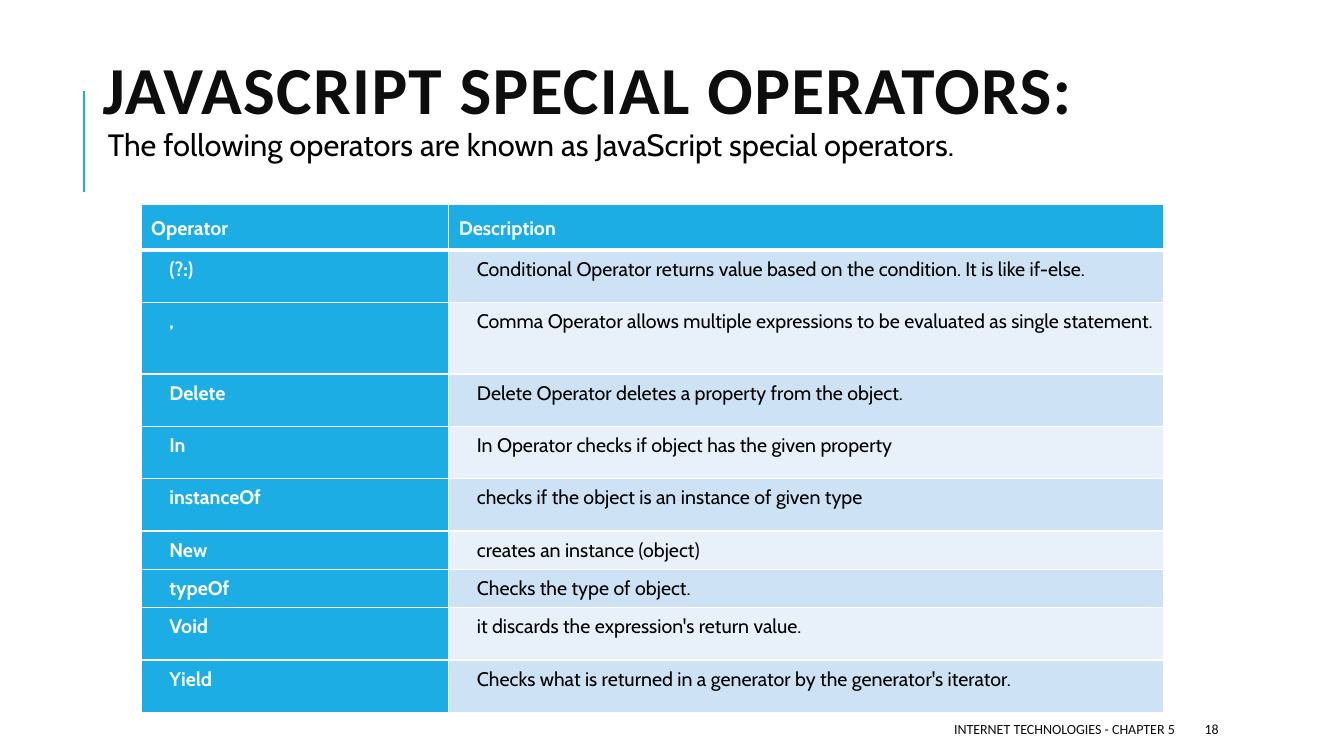
from lxml import etree
from pptx import Presentation
from pptx import util as u
from pptx.dml.color import RGBColor
from pptx.enum import shapes, text
from pptx.oxml import ns

ACCENT, INK, BLACK, WHITE = "1CADE4", "0D0D0D", "000000", "FFFFFF"
BANDS = ("CDE3F5", "E8F1FA")
COLUMN_WIDTHS = (3.05, 7.09)
HEADINGS = ("Operator", "Description")
OPERATORS = (
    ("(?:)", "Conditional Operator returns value based on the condition. It is like if-else.", 0.52),
    (",", "Comma Operator allows multiple expressions to be evaluated as single statement.", 0.71),
    ("Delete", "Delete Operator deletes a property from the object.", 0.52),
    ("In", "In Operator checks if object has the given property", 0.52),
    ("instanceOf", "checks if the object is an instance of given type", 0.52),
    ("New", "creates an instance (object)", 0.38),
    ("typeOf", "Checks the type of object.", 0.38),
    ("Void", "it discards the expression's return value.", 0.52),
    ("Yield", "Checks what is returned in a generator by the generator's iterator.", 0.52),
)


def rgb(value):
    return RGBColor.from_string(value)


def style_run(paragraph, font_name, size, color, bold=False):
    font = paragraph.runs[0].font
    font.name, font.size, font.bold = font_name, u.Pt(size), bold
    font.color.rgb = rgb(color)


def add_line_of_text(slide, box, words, font_name, size, color, bold=False,
                     anchor=text.MSO_ANCHOR.MIDDLE, align=text.PP_ALIGN.LEFT):
    frame = slide.shapes.add_textbox(*map(u.Inches, box)).text_frame
    frame.word_wrap = True
    frame.vertical_anchor = anchor
    frame.text = words
    paragraph = frame.paragraphs[0]
    paragraph.alignment = align
    style_run(paragraph, font_name, size, color, bold)
    return frame


def add_accent_rule(slide, left, top, height):
    rule = slide.shapes.add_connector(
        shapes.MSO_CONNECTOR.STRAIGHT,
        u.Inches(left), u.Inches(top + height), u.Inches(left), u.Inches(top))
    rule.line.color.rgb = rgb(ACCENT)
    rule.line.width = u.Pt(1.5)
    etree.SubElement(rule._element.spPr, ns.qn("a:effectLst"))


def add_heading(slide, left, top):
    title = add_line_of_text(slide, (left, top, 10.63, 1.64), "JAVASCRIPT SPECIAL OPERATORS:",
                             "Calibri", 48, INK, bold=True).paragraphs[0]
    title.line_spacing = 0.8
    title.runs[0].font._element.set("spc", "100")

    intro_frame = add_line_of_text(
        slide, (left, top + 1.12, 11.5, 5.63),
        "The following operators are known as JavaScript special operators.",
        "Cabin", 22, BLACK, anchor=text.MSO_ANCHOR.TOP)
    set_margins(intro_frame, 0.05)
    intro = intro_frame.paragraphs[0]
    intro.line_spacing = 0.9
    intro.space_after = u.Pt(2)
    indent_left(intro, 0.1)


def set_margins(holder, inches):
    for side in ("left", "top", "right", "bottom"):
        setattr(holder, f"margin_{side}", u.Inches(inches))


def indent_left(paragraph, inches):
    properties = paragraph._p.get_or_add_pPr()
    properties.set("marL", str(u.Inches(inches)))
    properties.set("indent", "0")


def set_borders(cell, bottom):
    properties = cell._tc.get_or_add_tcPr()
    widths = {"lnL": 1, "lnR": 1, "lnT": 1, "lnB": bottom}
    for position, (side, width) in enumerate(widths.items()):
        border = etree.Element(ns.qn(f"a:{side}"), w=str(u.Pt(width)))
        fill = etree.SubElement(border, ns.qn("a:solidFill"))
        etree.SubElement(fill, ns.qn("a:srgbClr"), val=WHITE)
        properties.insert(position, border)


def fill_cell(cell, words, fill, color, bold, header=False):
    cell.fill.solid()
    cell.fill.fore_color.rgb = rgb(fill)
    set_borders(cell, 3 if header else 1)
    set_margins(cell, 0.1 if header else 0.07)
    cell.text_frame.text = words
    paragraph = cell.text_frame.paragraphs[0]
    paragraph.space_after = u.Pt(8)
    if header:
        paragraph.line_spacing = 1.07
    else:
        paragraph.line_spacing = u.Pt(17.2)
        paragraph.alignment = text.PP_ALIGN.JUSTIFY
        indent_left(paragraph, 0.21)
    style_run(paragraph, "Cabin", 14, color, bold)


def add_operator_table(slide, left, top):
    heights = [0.38] + [height for _, _, height in OPERATORS]
    table = slide.shapes.add_table(
        len(heights), len(COLUMN_WIDTHS), u.Inches(left), u.Inches(top),
        u.Inches(sum(COLUMN_WIDTHS)), u.Inches(sum(heights))).table
    for column, width in zip(table.columns, COLUMN_WIDTHS):
        column.width = u.Inches(width)
    for row, height in zip(table.rows, heights):
        row.height = u.Inches(height)
    for index, heading in enumerate(HEADINGS):
        fill_cell(table.cell(0, index), heading, ACCENT, WHITE, True, header=True)
    for index, (operator, description, _) in enumerate(OPERATORS):
        fill_cell(table.cell(index + 1, 0), operator, ACCENT, WHITE, True)
        fill_cell(table.cell(index + 1, 1), description, BANDS[index % 2], BLACK, False)


def add_footer(slide, left, top):
    add_line_of_text(slide, (left, top, 6.45, 0.3), "INTERNET TECHNOLOGIES - CHAPTER 5",
                     "Calibri", 10, INK, align=text.PP_ALIGN.RIGHT)
    add_line_of_text(slide, (left + 6.55, top, 1.06, 0.3), "18", "Calibri", 10, INK)


def main():
    deck = Presentation()
    deck.slide_width, deck.slide_height = u.Inches(13.33), u.Inches(7.5)
    slide = deck.slides.add_slide(deck.slide_layouts[6])
    add_accent_rule(slide, 0.83, 0.9, 1)
    add_heading(slide, 0.92, 0.12)
    add_footer(slide, 5.3, 7.08)
    add_operator_table(slide, 1.4, 2.03)
    deck.save("out.pptx")


if __name__ == "__main__":
    main()
